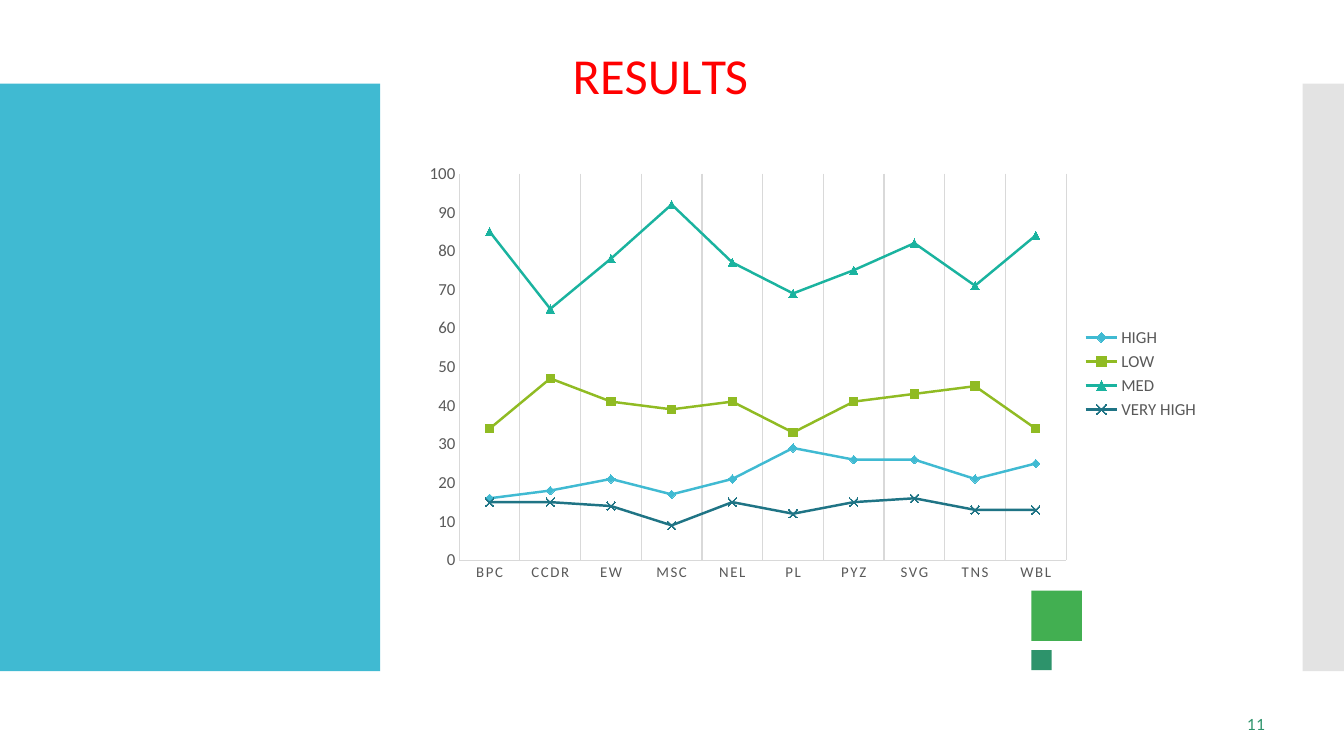
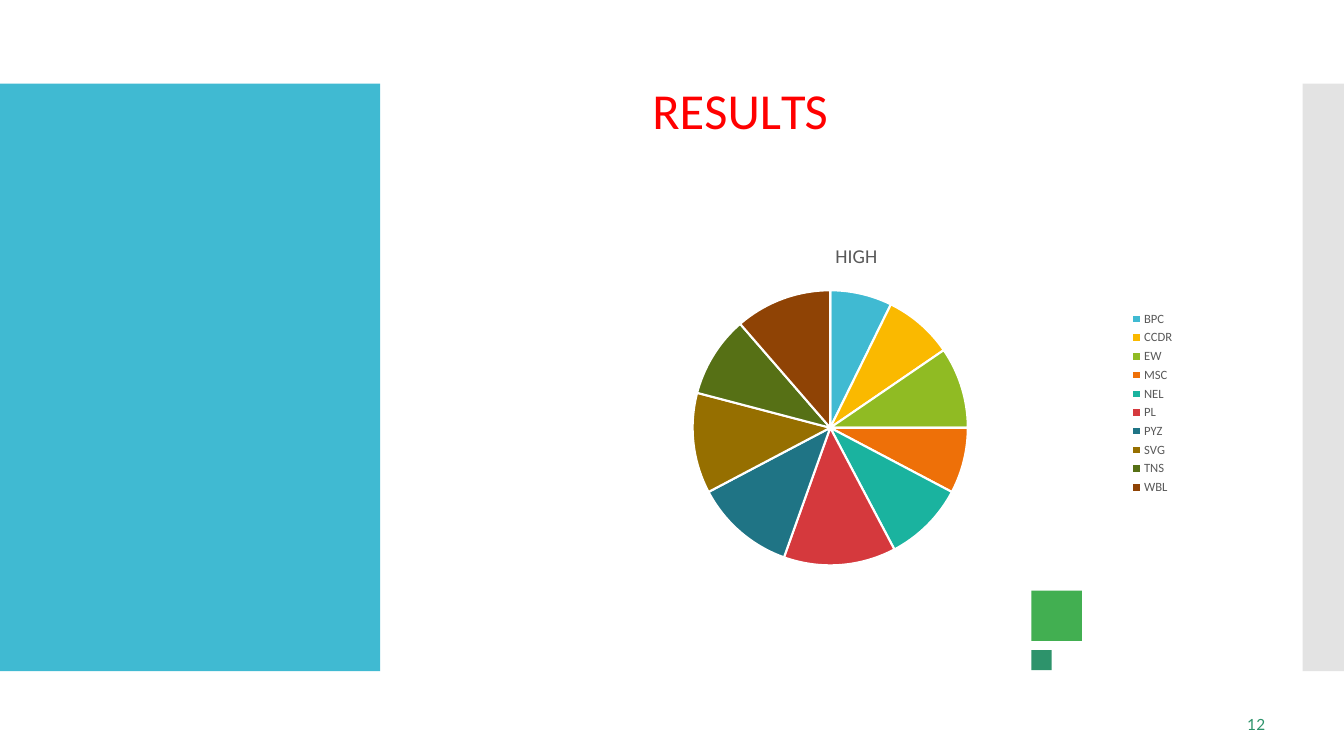
from dataclasses import dataclass

from lxml.etree import SubElement
from pptx import Presentation
from pptx.chart.chart import Chart
from pptx.chart.data import CategoryChartData
from pptx.dml.color import RGBColor
from pptx.dml.fill import FillFormat
from pptx.enum.chart import XL_CHART_TYPE as ChartKind
from pptx.enum.chart import XL_LEGEND_POSITION as LegendPlace
from pptx.enum.chart import XL_MARKER_STYLE as Marker
from pptx.enum.chart import XL_TICK_MARK as Tick
from pptx.enum.shapes import MSO_SHAPE as Preset
from pptx.enum.text import MSO_ANCHOR as Anchor
from pptx.enum.text import PP_ALIGN as Align
from pptx.oxml.ns import qn
from pptx.slide import Slide
from pptx.text.text import Font
from pptx.util import Inches, Pt

BODY_FONT, NUMBER_FONT = "Calibri", "Lato"
TITLE_RED, NUMBER_GREEN = "FF0000", "2D936B"
LABEL_GRAY, RULE_GRAY, WHITE, BLACK = "595959", "D9D9D9", "FFFFFF", "000000"
SLICE_COLORS = ("40BAD2", "FAB900", "90BB23", "EE7008", "1AB39F",
                "D5393D", "1F7485", "966F00", "567015", "8F4305")
TITLE_SPACING = (("R", -60), ("E", -40), ("S", 10), ("U", -30), ("L", -400), ("TS", -60))


@dataclass(frozen=True)
class Box:
    left: float
    top: float
    width: float
    height: float

    def lengths(self) -> tuple:
        return tuple(Inches(v) for v in (self.left, self.top, self.width, self.height))


@dataclass(frozen=True)
class Band:
    box: Box
    color: str
    opacity: int = 100


@dataclass(frozen=True)
class Level:
    name: str
    counts: tuple
    color: str
    marker: Marker


BANDS = (
    Band(Box(0, 0.83, 3.77, 5.83), "40BAD2"),
    Band(Box(12.92, 0.83, 0.42, 5.83), "C8C8C8", 50),
    Band(Box(10.23, 5.86, 0.5, 0.5), "42AF51"),
    Band(Box(10.23, 6.45, 0.2, 0.2), "2D936B"),
)
UNITS = ("BPC", "CCDR", "EW", "MSC", "NEL", "PL", "PYZ", "SVG", "TNS", "WBL")
LEVELS = (
    Level("HIGH", (16, 18, 21, 17, 21, 29, 26, 26, 21, 25), "40BAD2", Marker.DIAMOND),
    Level("LOW", (34, 47, 41, 39, 41, 33, 41, 43, 45, 34), "90BB23", Marker.SQUARE),
    Level("MED", (85, 65, 78, 92, 77, 69, 75, 82, 71, 84), "1AB39F", Marker.TRIANGLE),
    Level("VERY HIGH", (15, 15, 14, 9, 15, 12, 15, 16, 13, 13), "1F7485", Marker.X),
)


def rgb(color: str) -> RGBColor:
    return RGBColor.from_string(color)


def paint(fill: FillFormat, color: str) -> None:
    fill.solid()
    fill.fore_color.rgb = rgb(color)


def style(font: Font, size: float, color: str, name: str = BODY_FONT) -> None:
    font.name, font.size, font.bold = name, Pt(size), False
    font.color.rgb = rgb(color)


def add_band(slide: Slide, band: Band) -> None:
    panel = slide.shapes.add_shape(Preset.RECTANGLE, *band.box.lengths())
    panel.shadow.inherit = False
    paint(panel.fill, band.color)
    panel.line.fill.background()
    if band.opacity < 100:
        tint = panel.fill._xPr.find(".//" + qn("a:srgbClr"))
        SubElement(tint, qn("a:alpha")).set("val", str(band.opacity * 1000))


def add_text(slide: Slide, box: Box, pieces: tuple, indent: float, before: float):
    frame = slide.shapes.add_textbox(*box.lengths()).text_frame
    frame.word_wrap = True
    frame.margin_left, frame.margin_top = Inches(indent), Inches(0.01)
    frame.margin_right = frame.margin_bottom = 0
    line = frame.paragraphs[0]
    line.space_before = Pt(before)
    for text, spacing in pieces:
        run = line.add_run()
        run.text = text
        run.font._element.set("spc", str(spacing))
    return frame


def start_slide(deck, number: int, title_box: Box, title_align: Align) -> Slide:
    slide = deck.slides.add_slide(deck.slide_layouts[6])
    for band in BANDS:
        add_band(slide, band)
    title = add_text(slide, title_box, TITLE_SPACING, 0.01, 1.1)
    title.vertical_anchor = Anchor.MIDDLE
    title.paragraphs[0].alignment = title_align
    style(title.paragraphs[0].font, 36, TITLE_RED)
    page = add_text(slide, Box(12.33, 7.08, 0.25, 0.21), ((str(number), 10),), 0.04, 0.6)
    style(page.paragraphs[0].font, 11, NUMBER_GREEN, NUMBER_FONT)
    return slide


def place_plot(chart: Chart, inner: Box) -> None:
    area = chart.element.find(".//" + qn("c:plotArea"))
    for old in area.findall(qn("c:layout")):
        area.remove(old)
    layout = SubElement(area, qn("c:layout"))
    area.insert(0, layout)
    manual = SubElement(layout, qn("c:manualLayout"))
    settings = (("layoutTarget", "inner"), ("xMode", "edge"), ("yMode", "edge"),
                ("x", inner.left), ("y", inner.top), ("w", inner.width), ("h", inner.height))
    for tag, value in settings:
        SubElement(manual, qn(f"c:{tag}")).set("val", str(value))


def add_results_chart(slide: Slide, kind: ChartKind, box: Box, inner: Box,
                      legend_size: float) -> Chart:
    results = CategoryChartData()
    results.categories = UNITS
    for level in LEVELS:
        results.add_series(level.name, level.counts)
    chart = slide.shapes.add_chart(kind, *box.lengths(), results).chart
    chart.replace_data(results)
    style(chart.font, 10, BLACK)
    chart.has_title = False
    chart.has_legend = True
    chart.legend.position = LegendPlace.RIGHT
    chart.legend.include_in_layout = False
    style(chart.legend.font, legend_size, LABEL_GRAY)
    place_plot(chart, inner)
    return chart


def format_axes(chart: Chart) -> None:
    units, counts = chart.category_axis, chart.value_axis
    for axis, size in ((units, 10.6), (counts, 12)):
        axis.major_tick_mark = axis.minor_tick_mark = Tick.NONE
        style(axis.tick_labels.font, size, LABEL_GRAY)
        axis.format.line.color.rgb = rgb(RULE_GRAY)
        axis.format.line.width = Pt(0.75)
    units.has_major_gridlines = True
    grid = units.major_gridlines.format.line
    grid.color.rgb = rgb(RULE_GRAY)
    grid.width = Pt(0.75)
    for label in chart.element.xpath(".//c:catAx/c:txPr//a:defRPr"):
        label.set("spc", "120")
    counts.has_major_gridlines = False
    counts.minimum_scale, counts.maximum_scale, counts.major_unit = 0, 100, 10


def add_level_lines(slide: Slide) -> None:
    chart = add_results_chart(slide, ChartKind.LINE_MARKERS, Box(4.08, 1.55, 7.92, 4.31),
                              Box(0.06, 0.04, 0.76, 0.89), 12)
    format_axes(chart)
    chart.plots[0].vary_by_categories = False
    for level, series in zip(LEVELS, chart.plots[0].series):
        series.smooth = False
        series.format.line.color.rgb = rgb(level.color)
        series.format.line.width = Pt(1.75)
        marker = series.marker
        marker.style, marker.size = level.marker, 6
        marker.format.line.color.rgb = rgb(level.color)
        if level.marker == Marker.X:
            marker.format.fill.background()
        else:
            paint(marker.format.fill, level.color)


def add_high_pie(slide: Slide) -> None:
    chart = add_results_chart(slide, ChartKind.PIE, Box(5.24, 2.25, 6.51, 3.5),
                              Box(0.25, 0.18, 0.42, 0.78), 9)
    chart.has_title = True
    heading = chart.chart_title.text_frame
    heading.text = LEVELS[0].name
    style(heading.paragraphs[0].font, 14, LABEL_GRAY)
    chart.plots[0].vary_by_categories = True
    for series in chart.plots[0].series:
        for index, color in enumerate(SLICE_COLORS):
            piece = series.points[index].format
            paint(piece.fill, color)
            piece.line.color.rgb = rgb(WHITE)
            piece.line.width = Pt(1.5)


def main() -> None:
    deck = Presentation()
    deck.slide_width, deck.slide_height = Inches(13.33), Inches(7.5)
    add_level_lines(start_slide(deck, 11, Box(5.67, 0.42, 2.67, 0.62), Align.LEFT))
    add_high_pie(start_slide(deck, 12, Box(6, 0.77, 2.67, 0.62), Align.CENTER))
    deck.save("out.pptx")


if __name__ == "__main__":
    main()
